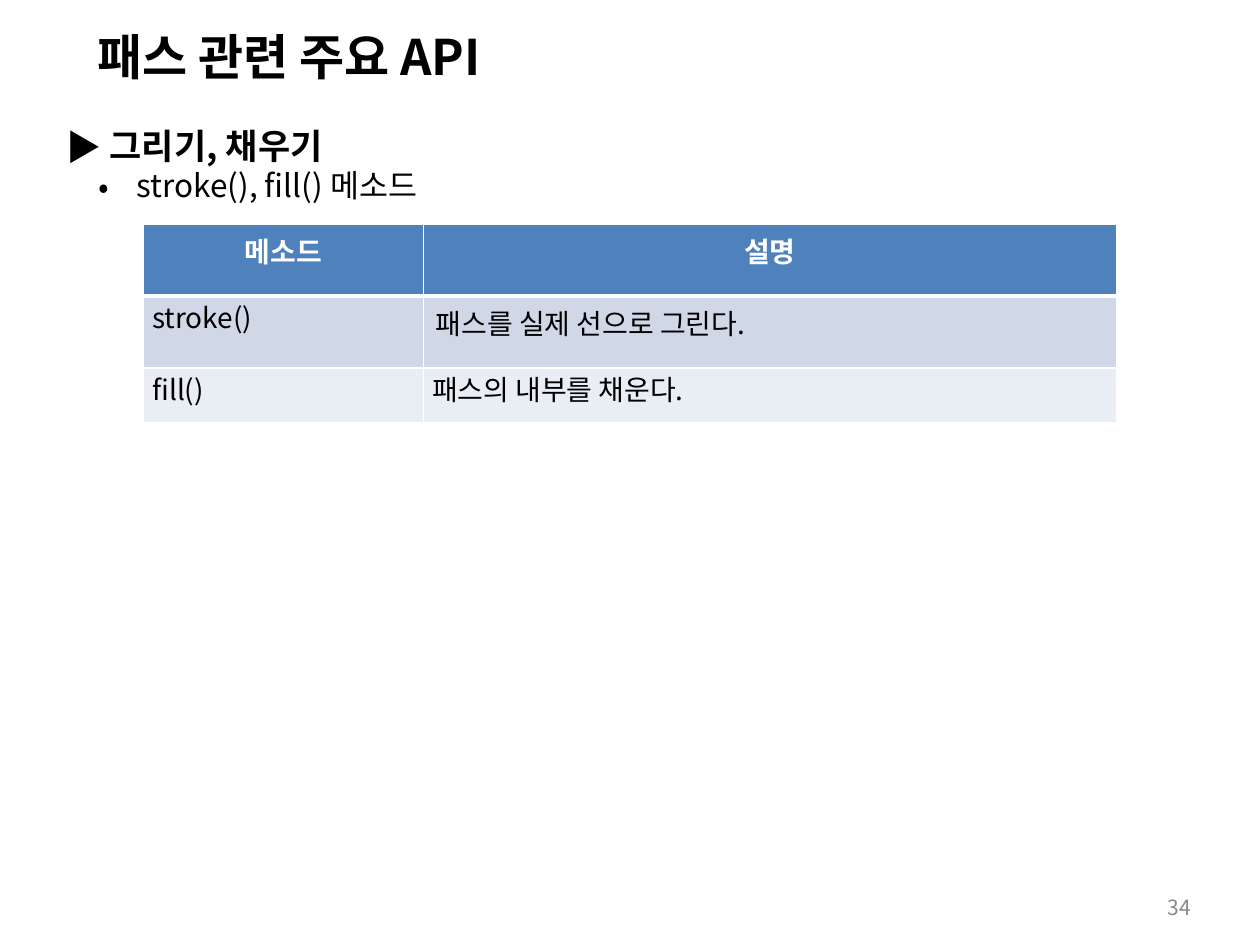
import pptx
import pptx.dml.color
import pptx.enum.text
import pptx.oxml.ns
import pptx.util
from lxml import etree
from pptx.util import Inches

RGBColor = pptx.dml.color.RGBColor
BLACK = RGBColor(0x00, 0x00, 0x00)
WHITE = RGBColor(0xFF, 0xFF, 0xFF)
GRAY = RGBColor(0x89, 0x89, 0x89)
HEADER_BLUE = RGBColor(0x4F, 0x81, 0xBD)
BAND_DARK = RGBColor(0xD0, 0xD8, 0xE8)
BAND_LIGHT = RGBColor(0xE9, 0xED, 0xF4)
FONT = "Noto Sans CJK KR"

ALIGN = pptx.enum.text.PP_ALIGN
ANCHOR = pptx.enum.text.MSO_ANCHOR
qn = pptx.oxml.ns.qn


def write(paragraph, text, size, color, bold=False, **paragraph_format):
    run = paragraph.add_run()
    run.text = text
    font_format = {"name": FONT, "size": pptx.util.Pt(size), "bold": bold}
    for name, value in font_format.items():
        setattr(run.font, name, value)
    run.font.color.rgb = color
    etree.SubElement(run.font._element, qn("a:ea"), typeface=FONT)
    for name, value in paragraph_format.items():
        setattr(paragraph, name, value)


def place(shape, left, top, width, height, anchor):
    box = {"left": left, "top": top, "width": width, "height": height}
    for name, value in box.items():
        setattr(shape, name, Inches(value))
    frame_format = {
        "word_wrap": True,
        "auto_size": pptx.enum.text.MSO_AUTO_SIZE.NONE,
        "vertical_anchor": anchor,
    }
    for name, value in frame_format.items():
        setattr(shape.text_frame, name, value)


presentation = pptx.Presentation()
presentation.slide_width = Inches(10)
presentation.slide_height = Inches(7.5)
slide = presentation.slides.add_slide(presentation.slide_layouts[1])

# Title
title = slide.shapes.title
place(title, 0.67, 0.13, 3.61, 0.57, ANCHOR.TOP)
write(title.text_frame.paragraphs[0], "패스 관련 주요 API", 28, BLACK, True,
      alignment=ALIGN.LEFT, line_spacing=pptx.util.Pt(36))

# Bullet list
body = slide.placeholders[1]
place(body, 0.43, 0.91, 9.14, 0.74, ANCHOR.TOP)
bullets = [
    ("▶", " 그리기, 채우기", 20, True, 26),
    ("•", " stroke(), fill() 메소드", 18, False, 21.5),
]
for level, (mark, text, size, bold, spacing) in enumerate(bullets):
    paragraph = body.text_frame.paragraphs[0] if level == 0 else body.text_frame.add_paragraph()
    write(paragraph, text, size, BLACK, bold, level=level, alignment=ALIGN.LEFT,
          space_before=pptx.util.Pt(0), line_spacing=pptx.util.Pt(spacing))
    properties = paragraph._p.get_or_add_pPr()
    properties.set("marL", str(Inches(0.25 * (level + 1))))
    properties.set("indent", str(Inches(-0.25)))
    etree.SubElement(properties, qn("a:buFont"), typeface=FONT)
    etree.SubElement(properties, qn("a:buChar"), char=mark)

# Method table
rows = [("메소드", "설명"),
        ("stroke()", "패스를 실제 선으로 그린다."),
        ("fill()", "패스의 내부를 채운다.")]
fills = [HEADER_BLUE, BAND_DARK, BAND_LIGHT]
tight_cells = [(1, 0), (2, 0), (2, 1)]
tight_margins = {"margin_left": 0.07, "margin_right": 0.07, "margin_top": 0, "margin_bottom": 0}

table = slide.shapes.add_table(3, 2, Inches(1.14), Inches(1.78), Inches(7.72), Inches(1.58)).table
for column, width in zip(table.columns, [2.22, 5.5]):
    column.width = Inches(width)
for row, height in zip(table.rows, [0.57, 0.57, 0.44]):
    row.height = Inches(height)

for row_index, texts in enumerate(rows):
    is_header = row_index == 0
    for column_index, text in enumerate(texts):
        cell = table.cell(row_index, column_index)
        if is_header:
            alignment = ALIGN.CENTER
        else:
            alignment = ALIGN.LEFT if column_index else ALIGN.JUSTIFY
        write(cell.text_frame.paragraphs[0], text, 16, WHITE if is_header else BLACK,
              is_header, alignment=alignment)
        if (row_index, column_index) in tight_cells:
            for name, value in tight_margins.items():
                setattr(cell, name, Inches(value))

        # White borders, thicker below the header
        border_widths = {"L": 1, "R": 1, "T": 3 if row_index == 1 else 1, "B": 3 if is_header else 1}
        cell_properties = cell._tc.get_or_add_tcPr()
        for side, width in border_widths.items():
            line = etree.SubElement(cell_properties, qn("a:ln" + side), w=str(pptx.util.Pt(width)))
            line_fill = etree.SubElement(line, qn("a:solidFill"))
            etree.SubElement(line_fill, qn("a:srgbClr"), val=str(WHITE))
        cell.fill.solid()
        cell.fill.fore_color.rgb = fills[row_index]

# Page number
page_number = slide.shapes.add_textbox(0, 0, 0, 0)
place(page_number, 7.22, 7, 2.33, 0.4, ANCHOR.MIDDLE)
write(page_number.text_frame.paragraphs[0], "34", 12, GRAY, alignment=ALIGN.RIGHT)

presentation.save("out.pptx")
